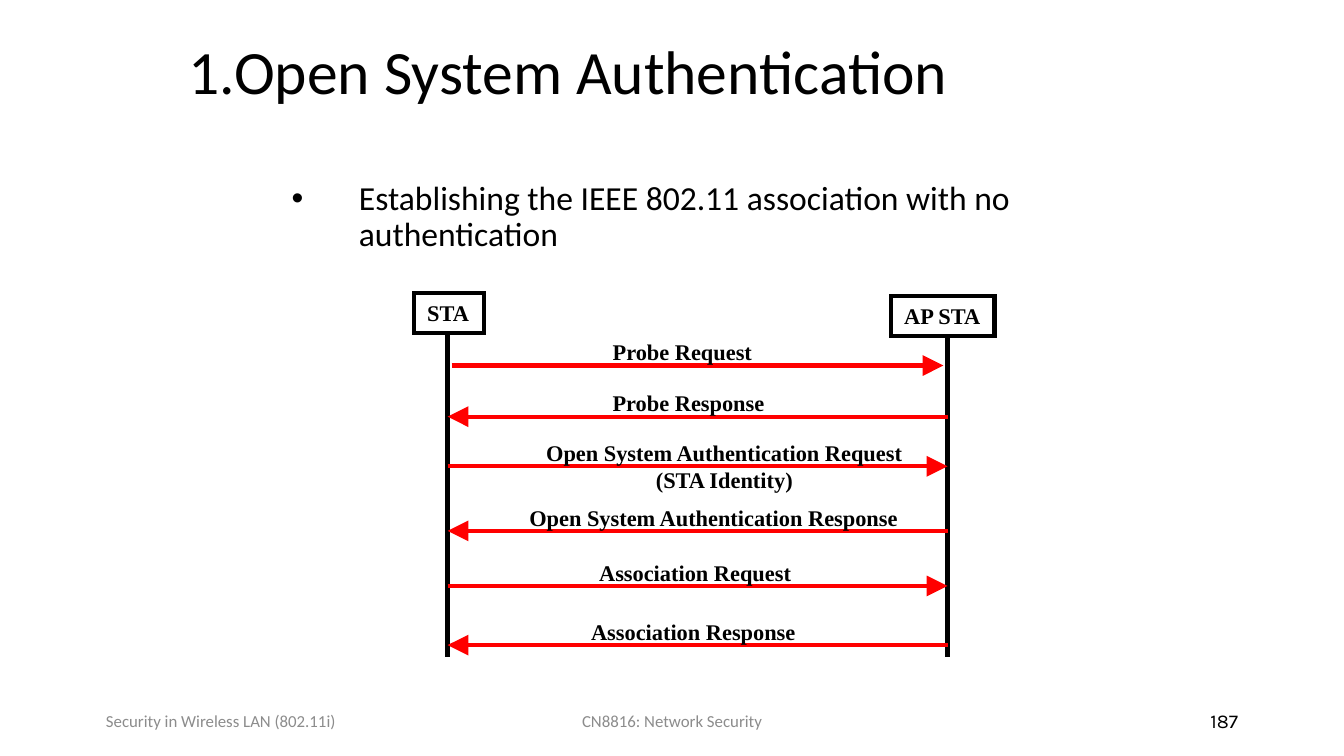
from lxml import etree
from pptx import Presentation, util as u
from pptx.dml.color import RGBColor
from pptx.enum import shapes, text
from pptx.oxml.ns import qn

PX = 9144  # 100 px to the inch
INK = {"black": "000000", "red": "FF0000", "grey": "8C8C8C"}
LEFT, MID, RIGHT = text.PP_ALIGN.LEFT, text.PP_ALIGN.CENTER, text.PP_ALIGN.RIGHT
TOP, CENTER = text.MSO_ANCHOR.TOP, text.MSO_ANCHOR.MIDDLE
FIT, FIXED = text.MSO_AUTO_SIZE.SHAPE_TO_FIT_TEXT, text.MSO_AUTO_SIZE.NONE
TAG = {"name": "Times New Roman", "size": 12, "bold": True}

# label, arrow y, label left, label width, points right, gap to lifelines
CALLS = [
    ("Probe Request", 54, 138, 125, True, 3),
    ("Probe Response", 92, 138, 134, False, 0),
    ("Open System Authentication Request\n(STA Identity)", 129, 85, 292, True, 0),
    ("Open System Authentication Response", 177, 76, 297, False, 0),
    ("Association Request", 218, 128, 164, True, 0),
    ("Association Response", 262, 122, 174, False, 0),
]


def px(*nums):
    return [u.Emu(n * PX) for n in nums]


def hue(name):
    return RGBColor.from_string(INK[name])


def write(shape, words, font, align=LEFT, anchor=TOP, wrap=True, space=1.0):
    frame = shape.text_frame
    frame.text = words
    look = {"word_wrap": wrap, "vertical_anchor": anchor,
            "auto_size": FIXED if wrap else FIT}
    for key, val in look.items():
        setattr(frame, key, val)
    for para in frame.paragraphs:
        para.alignment, para.line_spacing = align, space
        para.space_before = u.Pt(0)
        for run in para.runs:
            for key, val in font.items():
                setattr(run.font, key, u.Pt(val) if key == "size" else val)
            run.font.color.rgb = hue("black")


def move(shape, box):
    for key, val in zip(("left", "top", "width", "height"), px(*box)):
        setattr(shape, key, val)


def head(slide, box):
    title = slide.shapes.title
    move(title, box)
    write(title, "1.Open System Authentication", {"name": "Calibri", "size": 33},
          anchor=CENTER, space=0.9)


def body(slide, box):
    hold = slide.placeholders[1]
    move(hold, box)
    write(hold, "Establishing the IEEE 802.11 association with no authentication",
          {"name": "Calibri", "size": 18}, space=0.9)
    props = hold.text_frame.paragraphs[0]._p.get_or_add_pPr()
    props.set("marL", str(50 * PX))
    props.set("indent", str(-50 * PX))
    etree.SubElement(props, qn("a:buFont")).set("typeface", "Arial")
    etree.SubElement(props, qn("a:buChar")).set("char", "•")


def stroke(shape, color):
    shape.line.width = u.Pt(2.25)
    shape.line.color.rgb = hue(color)
    etree.SubElement(shape.line._ln, qn("a:miter")).set("lim", "800000")


def line(slide, start, end, color, arrow=False):
    link = slide.shapes.add_connector(shapes.MSO_CONNECTOR.STRAIGHT, *px(*start, *end))
    stroke(link, color)
    if arrow:
        tip = etree.SubElement(link.line._ln, qn("a:tailEnd"))
        for key, val in {"type": "triangle", "w": "lg", "len": "lg"}.items():
            tip.set(key, val)
    etree.SubElement(link._element.spPr, qn("a:effectLst"))


def node(slide, box, words):
    rect = slide.shapes.add_shape(shapes.MSO_SHAPE.RECTANGLE, *px(*box))
    rect.shadow.inherit = False
    rect.fill.background()
    stroke(rect, "black")
    write(rect, words, TAG, wrap=False)


def flow(slide, box):
    """Sequence chart: two stations, their lifelines and the calls between."""
    x, y, wide, high = box
    sta, peer = x + 25, x + wide - 35
    node(slide, (x, y, 52, 30), "STA")
    node(slide, (x + wide - 77, y + 2, 77, 30), "AP STA")
    line(slide, (sta, y + 29), (sta, y + high), "black")
    line(slide, (peer, y + 32), (peer, y + high), "black")
    for words, down, left, span, ahead, gap in CALLS:
        ends = [(sta + gap, y + down), (peer - gap, y + down)]
        line(slide, *(ends if ahead else ends[::-1]), "red", arrow=True)
        tall = 30 + 20 * words.count("\n")
        label = slide.shapes.add_textbox(*px(x + left, y + down - 25, span, tall))
        align = MID if "\n" in words else LEFT
        write(label, words, TAG, align, wrap=False)


def foot(slide, box):
    x, y, wide, high = box
    small = {"name": "Calibri", "size": 9}
    page = {"name": "Karla", "size": 10.5}
    parts = [
        (0, 225, "Security in Wireless LAN (802.11i)", small, LEFT, "grey"),
        (262, 338, "CN8816: Network Security", small, MID, "grey"),
        (wide - 225, 225, "187", page, RIGHT, "black"),
    ]
    for left, span, words, font, align, color in parts:
        part = slide.shapes.add_textbox(*px(x + left, y, span, high))
        write(part, words, font, align, CENTER)
        part.text_frame.paragraphs[0].runs[0].font.color.rgb = hue(color)


def main():
    deck = Presentation()
    deck.slide_width, deck.slide_height = u.Pt(720), u.Pt(405)
    slide = deck.slides.add_slide(deck.slide_layouts[1])
    foot(slide, (69, 521, 862, 30))
    head(slide, (130, 14, 852, 83))
    body(slide, (207, 130, 650, 412))
    flow(slide, (308, 218, 432, 271))
    deck.save("out.pptx")


if __name__ == "__main__":
    main()
